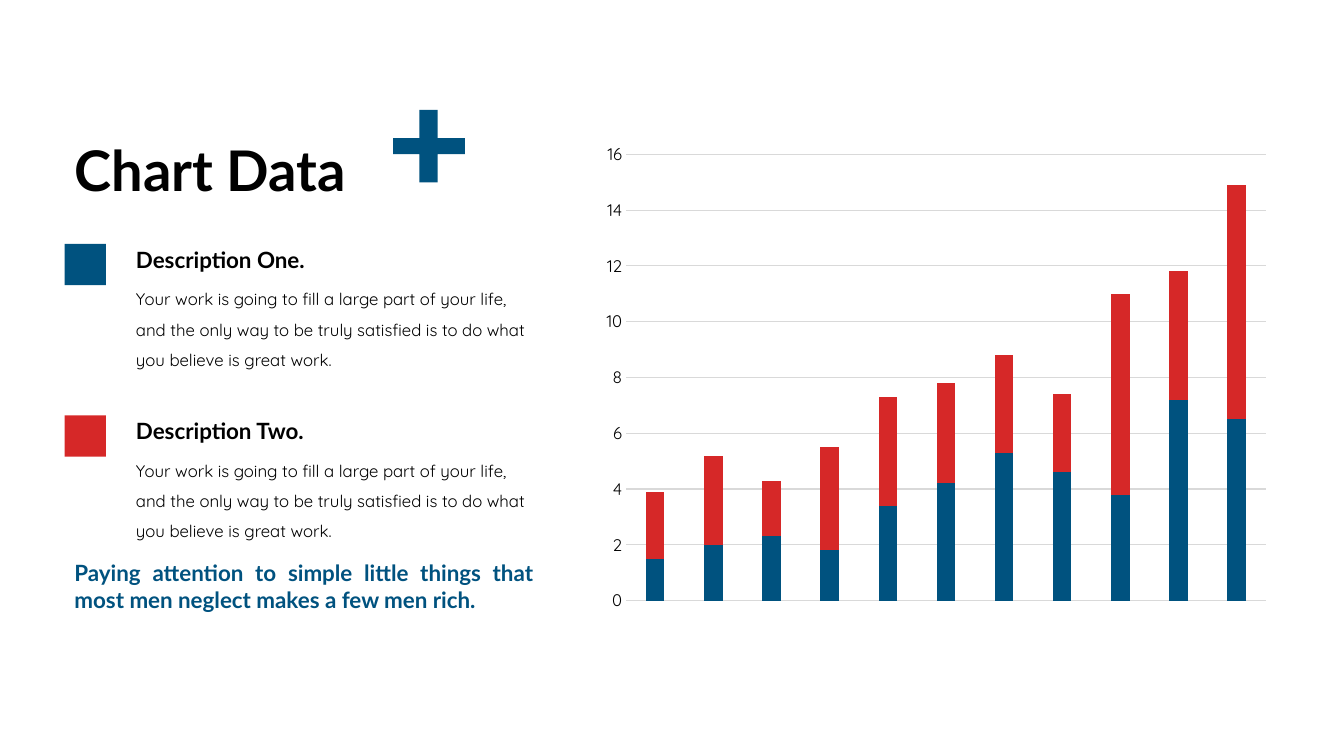
import pptx
import pptx.chart.data
import pptx.dml.color
import pptx.enum.chart
import pptx.enum.shapes
import pptx.enum.text
import pptx.util

Inches = pptx.util.Inches
Pt = pptx.util.Pt
Align = pptx.enum.text.PP_ALIGN
AutoSize = pptx.enum.text.MSO_AUTO_SIZE


def color(code):
    """Turn a hex string into a colour."""
    return pptx.dml.color.RGBColor.from_string(code)


class ChartSlide:
    """Hold the style and the current slide."""

    HEADING, BODY = "Lato", "Quicksand"
    INK, BLUE, RED, GRID = "000000", "00527F", "D62828", "D9D9D9"

    def __init__(self, deck):
        self.slide = deck.slides.add_slide(deck.slide_layouts[5])

    def style(self, font, name, size, code, bold=False):
        font.name, font.size, font.bold = name, Pt(size), bold
        font.color.rgb = color(code)

    def add_words(self, frame, words, name, size, code, bold, align, spacing):
        paragraph = frame.paragraphs[0]
        paragraph.alignment = align
        paragraph.line_spacing = spacing
        run = paragraph.add_run()
        run.text = words
        self.style(run.font, name, size, code, bold)

    def title(self, words, left, top, width, height):
        heading = self.slide.shapes.title
        heading.left, heading.top = Inches(left), Inches(top)
        heading.width, heading.height = Inches(width), Inches(height)
        frame = heading.text_frame
        frame.auto_size = AutoSize.NONE
        frame.vertical_anchor = pptx.enum.text.MSO_ANCHOR.MIDDLE
        self.add_words(frame, words, self.HEADING, 40, self.INK, True, Align.LEFT, 0.9)

    def text(self, words, left, top, width, height, name, size, code=INK,
             bold=False, align=Align.LEFT, spacing=1.0):
        box = self.slide.shapes.add_textbox(
            Inches(left), Inches(top), Inches(width), Inches(height))
        frame = box.text_frame
        frame.word_wrap = True
        frame.auto_size = AutoSize.SHAPE_TO_FIT_TEXT
        self.add_words(frame, words, name, size, code, bold, align, spacing)

    def paint(self, shape, code):
        shape.shadow.inherit = False
        shape.fill.solid()
        shape.fill.fore_color.rgb = color(code)
        shape.line.fill.background()

    def square(self, left, top, side, code):
        marker = self.slide.shapes.add_shape(
            pptx.enum.shapes.MSO_SHAPE.RECTANGLE,
            Inches(left), Inches(top), Inches(side), Inches(side))
        self.paint(marker, code)

    def plus(self, xs, ys, code):
        corners = [(1, 0), (2, 0), (2, 1), (3, 1), (3, 2), (2, 2),
                   (2, 3), (1, 3), (1, 2), (0, 2), (0, 1), (1, 1)]
        points = [(Inches(xs[column]), Inches(ys[row])) for column, row in corners]
        outline = self.slide.shapes.build_freeform(*points[0])
        outline.add_line_segments(points[1:], close=True)
        self.paint(outline.convert_to_shape(), code)

    def stacked_columns(self, series, left, top, width, height):
        data = pptx.chart.data.CategoryChartData()
        data.categories = [str(n + 1) for n in range(len(series[0][1]))]
        for name, values, _ in series:
            data.add_series(name, values)
        chart = self.slide.shapes.add_chart(
            pptx.enum.chart.XL_CHART_TYPE.COLUMN_STACKED,
            Inches(left), Inches(top), Inches(width), Inches(height), data).chart
        self.style(chart.font, self.BODY, 10, self.INK)
        chart.has_title = chart.has_legend = False
        plot = chart.plots[0]
        plot.gap_width, plot.overlap = 215, 100
        plot.vary_by_categories = False
        for bars, (_, _, code) in zip(plot.series, series):
            bars.format.fill.solid()
            bars.format.fill.fore_color.rgb = color(code)
        chart.category_axis.visible = False
        scale = chart.value_axis
        scale.minimum_scale, scale.maximum_scale, scale.major_unit = 0, 16, 2
        scale.major_tick_mark = pptx.enum.chart.XL_TICK_MARK.NONE
        scale.format.line.fill.background()
        self.style(scale.tick_labels.font, self.BODY, 12, self.INK)
        scale.has_major_gridlines = True
        grid = scale.major_gridlines.format.line
        grid.color.rgb = color(self.GRID)
        grid.width = Pt(0.75)


def main():
    deck = pptx.Presentation()
    deck.slide_width, deck.slide_height = Inches(13.33), Inches(7.5)
    page = ChartSlide(deck)
    page.title("Chart Data", 0.64, 1, 5.08, 1.45)
    page.plus([3.9, 4.16, 4.34, 4.61], [1.09, 1.37, 1.53, 1.81], page.BLUE)
    page.stacked_columns([
        ("Series 1", [1.5, 2, 2.3, 1.8, 3.4, 4.2, 5.3, 4.6, 3.8, 7.2, 6.5], page.BLUE),
        ("Series 2", [2.4, 3.2, 2, 3.7, 3.9, 3.6, 3.5, 2.8, 7.2, 4.6, 8.4], page.RED),
    ], 5.88, 1.33, 6.81, 4.83)
    description = ("Your work is going to fill a large part of your life, and the only "
                   "way to be truly satisfied is to do what you believe is great work.")
    entries = [("Description One.", page.BLUE), ("Description Two.", page.RED)]
    for index, (label, code) in enumerate(entries):
        top = 2.39 + 1.7 * index
        page.square(0.64, top + 0.03, 0.41, code)
        page.text(label, 1.25, top, 2.09, 0.37, page.HEADING, 16, bold=True)
        page.text(description, 1.25, top + 0.33, 4.15, 0.97, page.BODY, 12, spacing=1.5)
    page.text("Paying attention to simple little things that most men neglect makes "
              "a few men rich.", 0.64, 5.5, 4.75, 0.64, page.HEADING, 16, page.BLUE,
              bold=True, align=Align.JUSTIFY)
    deck.save("out.pptx")


if __name__ == "__main__":
    main()
